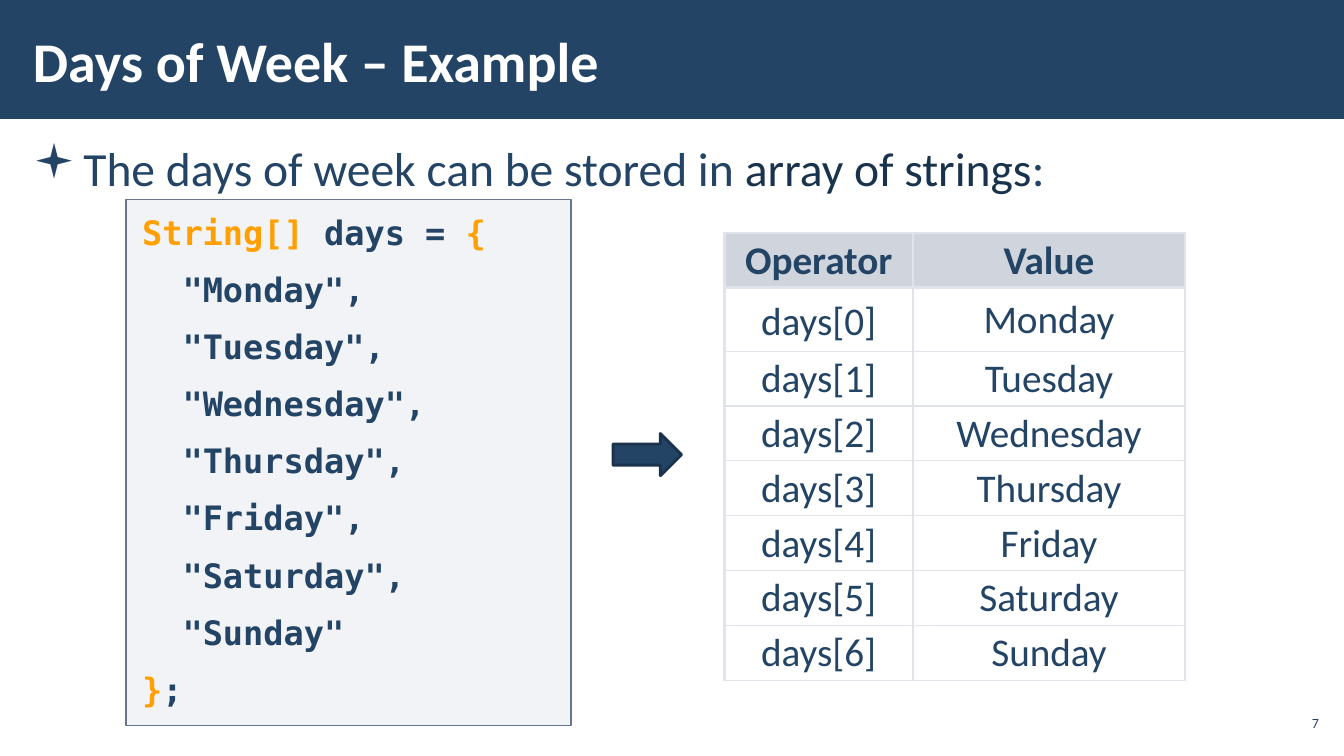
"""Build the slide that shows days of the week stored in an array of strings."""
from dataclasses import dataclass

from lxml.etree import SubElement
from pptx import Presentation
from pptx.dml.color import RGBColor
from pptx.dml.fill import FillFormat
from pptx.enum.shapes import MSO_SHAPE
from pptx.enum.text import MSO_ANCHOR, PP_ALIGN
from pptx.oxml.ns import qn
from pptx.util import Pt

NAVY = "234465"
DARK_NAVY = "1A334C"
ORANGE = "FFA000"
WHITE = "FFFFFF"
BORDER = "E0E3E9"
SANS = "Calibri"
MONO = "DejaVu Sans Mono"
DAYS = ["Monday", "Tuesday", "Wednesday", "Thursday", "Friday", "Saturday", "Sunday"]
CODE_INDENT = 28.9
THICK, THIN = 2.25, 1


@dataclass
class Box:
    left: float
    top: float
    width: float
    height: float

    def lengths(self) -> tuple:
        return Pt(self.left), Pt(self.top), Pt(self.width), Pt(self.height)


@dataclass
class Style:
    size: float
    font: str = SANS
    bold: bool = False


@dataclass
class Piece:
    text: str
    color: str = NAVY


@dataclass
class CodeLine:
    pieces: list[Piece]
    indent: float = 0


def rgb(color: str) -> RGBColor:
    return RGBColor.from_string(color)


def paint(fill: FillFormat, properties, color: str, opacity: int = 100) -> None:
    fill.solid()
    fill.fore_color.rgb = rgb(color)
    if opacity < 100:
        color_element = properties.find(qn("a:solidFill")).find(qn("a:srgbClr"))
        SubElement(color_element, qn("a:alpha"), val=str(opacity * 1000))


def add_runs(paragraph, pieces: list[Piece], style: Style) -> None:
    for piece in pieces:
        run = paragraph.add_run()
        run.text = piece.text
        run.font.size = Pt(style.size)
        run.font.name = style.font
        run.font.bold = style.bold
        run.font.color.rgb = rgb(piece.color)


def set_margins(frame, horizontal: float, vertical: float) -> None:
    frame.margin_left = frame.margin_right = Pt(horizontal)
    frame.margin_top = frame.margin_bottom = Pt(vertical)


def set_spacing(paragraph) -> None:
    paragraph.space_before = paragraph.space_after = Pt(6)


def set_indent(paragraph, left: float, first: float = 0):
    properties = paragraph._p.get_or_add_pPr()
    properties.set("marL", str(Pt(left)))
    properties.set("indent", str(Pt(first)))
    return properties


def add_shape(slide, kind: MSO_SHAPE, box: Box, color: str, opacity: int = 100,
              line: str = "", line_width: float = 1):
    shape = slide.shapes.add_shape(kind, *box.lengths())
    shape.shadow.inherit = False
    paint(shape.fill, shape._element.spPr, color, opacity)
    if line:
        shape.line.color.rgb = rgb(line)
        shape.line.width = Pt(line_width)
    else:
        shape.line.fill.background()
    return shape


def add_text(slide, box: Box, pieces: list[Piece], style: Style, margin: float,
             anchor: MSO_ANCHOR, alignment: PP_ALIGN = PP_ALIGN.LEFT):
    frame = slide.shapes.add_textbox(*box.lengths()).text_frame
    frame.word_wrap = True
    frame.vertical_anchor = anchor
    set_margins(frame, margin, 2.88)
    paragraph = frame.paragraphs[0]
    paragraph.alignment = alignment
    add_runs(paragraph, pieces, style)
    return paragraph


def add_code(slide, box: Box, lines: list[CodeLine]) -> None:
    shape = add_shape(slide, MSO_SHAPE.RECTANGLE, box, "ADB4C3", 15, "67748E")
    frame = shape.text_frame
    frame.word_wrap = True
    frame.vertical_anchor = MSO_ANCHOR.TOP
    set_margins(frame, 11.5, 8.6)
    for index, line in enumerate(lines):
        paragraph = frame.paragraphs[0] if index == 0 else frame.add_paragraph()
        paragraph.alignment = PP_ALIGN.LEFT
        set_spacing(paragraph)
        set_indent(paragraph, line.indent)
        add_runs(paragraph, line.pieces, Style(24, MONO, True))


def set_borders(cell, widths: dict[str, float]) -> None:
    properties = cell._tc.get_or_add_tcPr()
    for side, width in widths.items():
        line = SubElement(properties, qn(f"a:{side}"), w=str(Pt(width)))
        fill = SubElement(line, qn("a:solidFill"))
        SubElement(fill, qn("a:srgbClr"), val=BORDER)


def add_days_table(slide, box: Box, columns: list[float], heights: list[float],
                   rows: list[tuple[str, str]]) -> None:
    table = slide.shapes.add_table(len(rows), len(columns), *box.lengths()).table
    table.first_row = table.horz_banding = False
    for column, width in zip(table.columns, columns):
        column.width = Pt(width)
    for row_index, (row, height) in enumerate(zip(table.rows, heights)):
        row.height = Pt(height)
        header = row_index == 0
        for column_index, cell in enumerate(row.cells):
            set_borders(cell, {
                "lnL": THICK if column_index == 0 else THIN,
                "lnR": THIN if column_index == 0 else THICK,
                "lnT": THICK if row_index < 2 else THIN,
                "lnB": THICK if header else THIN,
            })
            if header:
                paint(cell.fill, cell._tc.tcPr, "A3ABBC", 50)
            else:
                cell.fill.background()
            cell.vertical_anchor = MSO_ANCHOR.MIDDLE
            set_margins(cell, 11.5, 3.6)
            paragraph = cell.text_frame.paragraphs[0]
            paragraph.alignment = PP_ALIGN.CENTER
            first_index = row_index == 1 and column_index == 0
            paragraph.line_spacing = Pt(38) if first_index else 0.95
            add_runs(paragraph, [Piece(rows[row_index][column_index])], Style(28, bold=header))


def main() -> None:
    presentation = Presentation()
    presentation.slide_width, presentation.slide_height = Pt(960), Pt(540)
    slide = presentation.slides.add_slide(presentation.slide_layouts[6])

    add_shape(slide, MSO_SHAPE.RECTANGLE, Box(0, -1.4, 960, 86.4), NAVY)
    statement = [Piece("The days of week can be stored in "),
                 Piece("array of strings", DARK_NAVY), Piece(":")]
    bullet = add_text(slide, Box(15, 94.3, 930, 408), statement, Style(34), 8.6, MSO_ANCHOR.TOP)
    bullet.line_spacing = 1.05
    set_spacing(bullet)
    properties = set_indent(bullet, 36, -36)
    SubElement(properties, qn("a:buFont"), typeface="Wingdings")
    SubElement(properties, qn("a:buChar"), char="▪")

    add_text(slide, Box(15, 8, 748, 70), [Piece("Days of Week – Example", WHITE)],
             Style(40, bold=True), 8.6, MSO_ANCHOR.MIDDLE)
    add_text(slide, Box(911, 504, 34, 24.5), [Piece("7")], Style(10), 2.88,
             MSO_ANCHOR.MIDDLE, PP_ALIGN.RIGHT)

    code = [CodeLine([Piece("String[]", ORANGE), Piece(" days = "), Piece("{", ORANGE)])]
    for day in DAYS:
        comma = "" if day == DAYS[-1] else ","
        code.append(CodeLine([Piece(f'"{day}"{comma}')], CODE_INDENT))
    code.append(CodeLine([Piece("}", ORANGE), Piece(";")]))
    add_code(slide, Box(90, 142.5, 318, 375.8), code)

    add_shape(slide, MSO_SHAPE.RIGHT_ARROW, Box(437.8, 309.6, 49, 30.2), NAVY,
              line="1A324B", line_width=2)

    rows = [("Operator", "Value")]
    rows += [(f"days[{index}]", day) for index, day in enumerate(DAYS)]
    heights = [39.2, 45.2] + [39.2] * 6
    add_days_table(slide, Box(517.5, 166.4, 329, sum(heights)), [134.6, 194.4], heights, rows)

    presentation.save("out.pptx")


if __name__ == "__main__":
    main()
